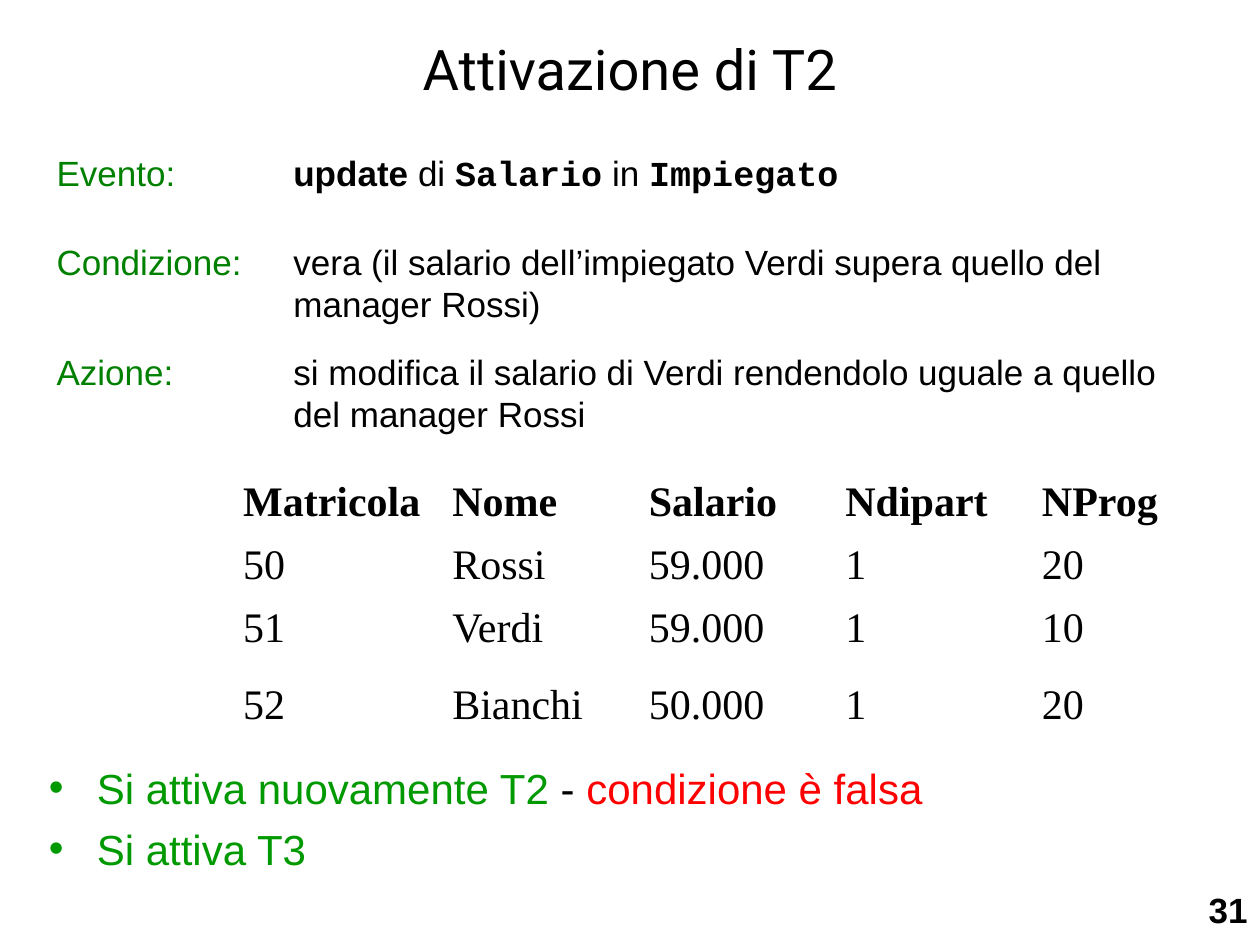
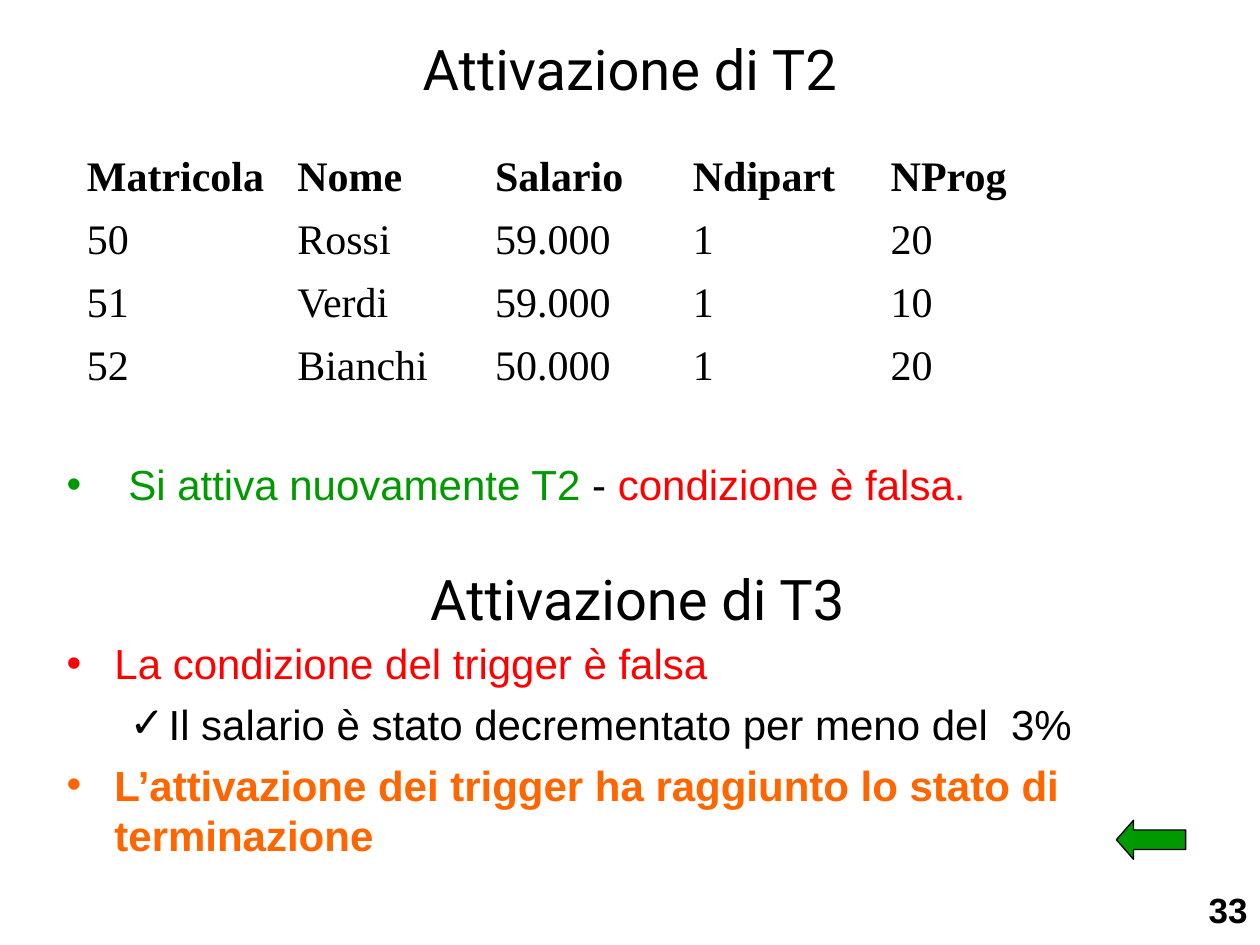
import pptx
import pptx.dml.color
import pptx.enum.shapes
import pptx.enum.text
import pptx.oxml
import pptx.oxml.ns
import pptx.util

EMU_PER_PX = 9144
BLACK, WHITE, RED, ORANGE = "000000", "FFFFFF", "FF0000", "FF6600"
GREEN, LABEL_GREEN = "009900", "008000"
ALIGN = pptx.enum.text.PP_ALIGN
ANCHOR = pptx.enum.text.MSO_ANCHOR

TITLE = {"name": "Roboto", "size": pptx.util.Pt(32), "bold": False}
BODY = {"name": "Arial", "size": pptx.util.Pt(20), "bold": False}
STRONG = {**BODY, "bold": True}
CODE = {**STRONG, "name": "Courier New"}
POINT = {**BODY, "size": pptx.util.Pt(24)}
STRONG_POINT = {**POINT, "bold": True}
CELL = {**POINT, "name": "Times New Roman"}
HEADER = {**CELL, "bold": True}

EMPLOYEES = [
    ["Matricola", "Nome", "Salario", "Ndipart", "NProg"],
    ["50", "Rossi", "59.000", "1", "20"],
    ["51", "Verdi", "59.000", "1", "10"],
    ["52", "Bianchi", "50.000", "1", "20"],
]


def px(length):
    return pptx.util.Emu(length * EMU_PER_PX)


def rgb(value):
    return pptx.dml.color.RGBColor.from_string(value)


def add_xml(parent, markup):
    namespace = pptx.oxml.ns.nsdecls("a")
    tag, rest = markup[1:].split(" ", 1)
    parent.append(pptx.oxml.parse_xml(f"<{tag} {namespace} {rest}"))


class Deck:
    def __init__(self):
        self.show = pptx.Presentation()
        self.show.slide_width, self.show.slide_height = px(1000), px(750)
        self.slide = None

    def new_slide(self, heading, number):
        self.slide = self.show.slides.add_slide(self.show.slide_layouts[5])
        title = self.slide.shapes.title
        place = {"left": 29, "top": 25, "width": 942, "height": 58}
        for side, length in place.items():
            setattr(title, side, px(length))
        self.heading(title.text_frame, heading)
        page = self.frame(933, 700, 67, 50).paragraphs[0]
        page.alignment = ALIGN.RIGHT
        self.add_pieces(page, [(number, STRONG, BLACK)])

    def frame(self, *place):
        frame = self.slide.shapes.add_textbox(*map(px, place)).text_frame
        frame.word_wrap = True
        return frame

    def heading(self, frame, words):
        frame.vertical_anchor = ANCHOR.MIDDLE
        line = frame.paragraphs[0]
        line.alignment = ALIGN.CENTER
        self.add_pieces(line, [(words, TITLE, BLACK)])

    def add_pieces(self, paragraph, pieces):
        for words, style, color in pieces:
            run = paragraph.add_run()
            run.text = words
            for attribute, value in style.items():
                setattr(run.font, attribute, value)
            run.font.color.rgb = rgb(color)

    def indent(self, paragraph, margin, hanging):
        properties = paragraph._p.get_or_add_pPr()
        properties.set("marL", str(px(margin)))
        properties.set("indent", str(px(-hanging)))
        return properties

    def rule_part(self, top, label, pieces):
        line = self.frame(35, top, 925, 58).paragraphs[0]
        properties = self.indent(line, 188, 188)
        add_xml(properties, '<a:tabLst ><a:tab pos="0" algn="l"/></a:tabLst>')
        self.add_pieces(line, [(f"{label}:\t", BODY, LABEL_GREEN), *pieces])

    def bullets(self, place, points, margin=38):
        frame = self.frame(*place)
        for index, (level, pieces) in enumerate(points):
            line = frame.add_paragraph() if index else frame.paragraphs[0]
            line.level = level
            mark = "✓" if level else "•"
            properties = self.indent(line, *((81, 31) if level else (margin, margin)))
            add_xml(properties, f'<a:buClr ><a:srgbClr val="{pieces[0][2]}"/></a:buClr>')
            add_xml(properties, '<a:buFont typeface="Arial"/>')
            add_xml(properties, f'<a:buChar char="{mark}"/>')
            if index:
                line.space_before = pptx.util.Pt(6)
            self.add_pieces(line, pieces)

    def table(self, left, top, widths, heights, rows):
        place = map(px, (left, top, sum(widths), sum(heights)))
        table = self.slide.shapes.add_table(len(rows), len(widths), *place).table
        table.first_row = table.horz_banding = False
        for column, width in zip(table.columns, widths):
            column.width = px(width)
        for row, height, values in zip(table.rows, heights, rows):
            row.height = px(height)
            style = HEADER if values is rows[0] else CELL
            for cell, value in zip(row.cells, values):
                self.add_pieces(cell.text_frame.paragraphs[0], [(value, style, BLACK)])
                properties = cell._tc.get_or_add_tcPr()
                for side in "LRTB":
                    add_xml(properties, f'<a:ln{side} w="5715"><a:solidFill>'
                            f'<a:srgbClr val="{WHITE}"/></a:solidFill></a:ln{side}>')
                cell.fill.background()

    def back_arrow(self, *place):
        kind = pptx.enum.shapes.MSO_SHAPE.LEFT_ARROW
        arrow = self.slide.shapes.add_shape(kind, *map(px, place))
        arrow.adjustments[1] = 0.44
        arrow.shadow.inherit = False
        arrow.fill.solid()
        arrow.fill.fore_color.rgb = rgb(GREEN)
        arrow.line.color.rgb = rgb(BLACK)
        arrow.line.width = pptx.util.Pt(0.75)


def reactivation(outcome):
    return [("Si attiva nuovamente T2", POINT, GREEN), (" - ", POINT, BLACK),
            (outcome, POINT, RED)]


def main():
    deck = Deck()

    deck.new_slide("Attivazione di T2", "31")
    deck.rule_part(115, "Evento", [
        ("update", STRONG, BLACK), (" di ", BODY, BLACK), ("Salario", CODE, BLACK),
        (" in ", BODY, BLACK), ("Impiegato", CODE, BLACK)])
    deck.rule_part(186, "Condizione", [
        ("vera (il salario dell’impiegato Verdi supera quello del manager Rossi)",
         BODY, BLACK)])
    deck.rule_part(273, "Azione", [
        ("si modifica il salario di Verdi rendendolo uguale a quello del manager Rossi",
         BODY, BLACK)])
    deck.table(183, 375, [166] + [156] * 4, [50, 50, 61, 61], EMPLOYEES)
    deck.bullets((29, 600, 942, 92), [
        (0, reactivation("condizione è falsa")),
        (0, [("Si attiva T3", POINT, GREEN)])])

    deck.new_slide("Attivazione di T2", "33")
    deck.table(59, 117, [167] + [157] * 4, [50, 50, 50, 60], EMPLOYEES)
    deck.bullets((43, 359, 882, 50), [(0, reactivation("condizione è falsa."))], 49)
    deck.heading(deck.frame(35, 446, 942, 58), "Attivazione di T3")
    deck.bullets((43, 501, 921, 173), [
        (0, [("La condizione del trigger è falsa", POINT, RED)]),
        (1, [("Il salario è stato decrementato per meno del  3%", POINT, BLACK)]),
        (0, [("L’attivazione dei trigger ha raggiunto lo stato di terminazione",
              STRONG_POINT, ORANGE)])])
    deck.back_arrow(886, 651, 55, 31)

    deck.show.save("out.pptx")


if __name__ == "__main__":
    main()
